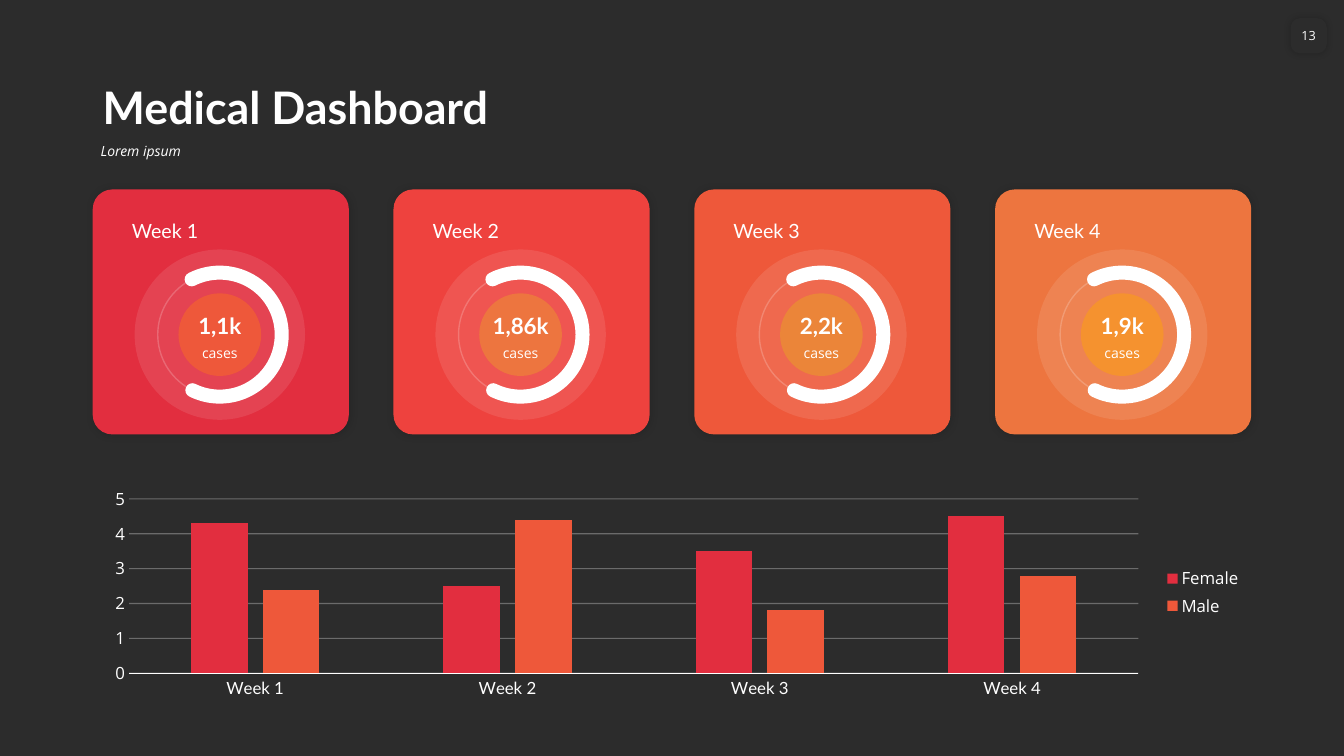
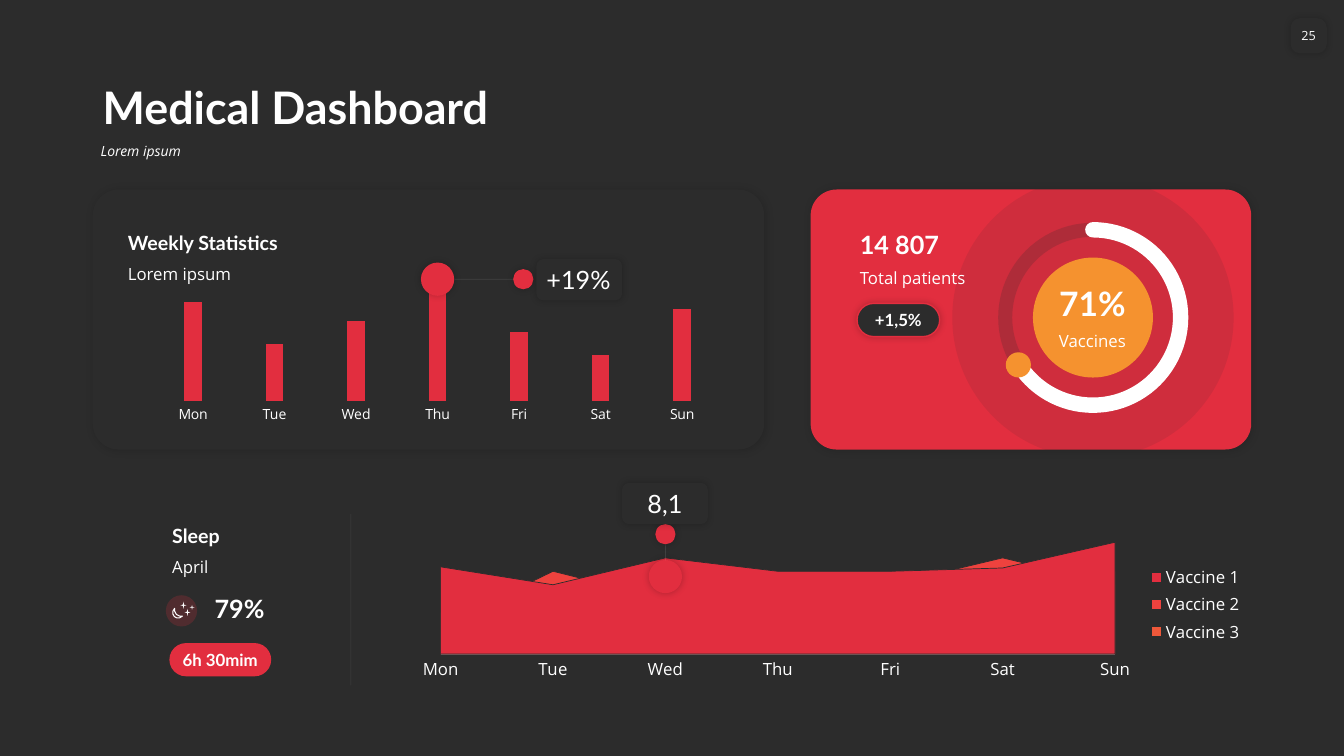
from lxml import etree
from pptx import Presentation
from pptx.chart.data import CategoryChartData
from pptx.dml.color import RGBColor
from pptx.enum.chart import XL_CHART_TYPE, XL_LEGEND_POSITION, XL_TICK_MARK
from pptx.enum.shapes import MSO_CONNECTOR, MSO_SHAPE
from pptx.enum.text import MSO_ANCHOR, PP_ALIGN
from pptx.oxml.ns import qn
from pptx.util import Inches, Pt

DARK = RGBColor(0x2C, 0x2C, 0x2C)
WHITE = RGBColor(0xFF, 0xFF, 0xFF)
CRIMSON = RGBColor(0xE2, 0x2E, 0x3F)
RED = RGBColor(0xEE, 0x42, 0x3E)
VERMILION = RGBColor(0xEE, 0x58, 0x3A)
ORANGE = RGBColor(0xED, 0x75, 0x3F)
OCHRE = RGBColor(0xEB, 0x85, 0x39)
AMBER = RGBColor(0xF5, 0x92, 0x2F)

HEAD, BODY = "Lato", "Open Sans"
OVAL, ROUNDED, ARC = MSO_SHAPE.OVAL, MSO_SHAPE.ROUNDED_RECTANGLE, MSO_SHAPE.ARC
MOON, STAR = MSO_SHAPE.MOON, MSO_SHAPE.STAR_4_POINT
LEFT, CENTER = PP_ALIGN.LEFT, PP_ALIGN.CENTER
TOP, MIDDLE, BOTTOM = MSO_ANCHOR.TOP, MSO_ANCHOR.MIDDLE, MSO_ANCHOR.BOTTOM
COLUMNS, AREA = XL_CHART_TYPE.COLUMN_CLUSTERED, XL_CHART_TYPE.AREA
LEGEND_RIGHT, NO_TICK = XL_LEGEND_POSITION.RIGHT, XL_TICK_MARK.NONE
STRAIGHT = MSO_CONNECTOR.STRAIGHT

# Shadows: opacity in percent, blur and distance in points
CARD_SHADOW, SOFT_SHADOW = (15, 6, 1), (20, 5, 0)
MARGIN, RIGHT_EDGE, CARD_TOP = 0.92, 12.41, 1.88
WEEKDAYS = ["Mon", "Tue", "Wed", "Thu", "Fri", "Sat", "Sun"]


def set_opacity(parent, percent):
    color = parent.find(".//" + qn("a:srgbClr"))
    etree.SubElement(color, qn("a:alpha"), val=str(percent * 1000))


class Dashboard:
    """Holds the style and the current slide."""

    def __init__(self):
        self.deck = Presentation()
        self.deck.slide_width, self.deck.slide_height = Inches(13.33), Inches(7.5)
        self.slide = None

    def new_slide(self, number):
        self.slide = self.deck.slides.add_slide(self.deck.slide_layouts[6])
        self.slide.background.fill.solid()
        self.slide.background.fill.fore_color.rgb = DARK
        title = self.text((MARGIN, 0.58, 11.5, 0.8), "Medical Dashboard", 32,
                          bold=True, anchor=BOTTOM)
        subtitle = self.text((0.9, 1.38, 11.52, 0.36), "Lorem ipsum", 10, BODY, italic=True)
        for heading in (title, subtitle):
            heading.text_frame.paragraphs[0].line_spacing = 0.9
        badge = self.shape(ROUNDED, (12.8, 0.18, 0.36, 0.35), DARK,
                           shadow=SOFT_SHADOW, adjust=[0.27])
        self.label(badge, str(number), 9, BODY, align=CENTER, anchor=MIDDLE,
                   inset=(0, 0.05), wrap=False)

    def label(self, holder, words, size, font=HEAD, bold=False, italic=False,
              align=LEFT, anchor=TOP, inset=(0.1, 0.05), wrap=True):
        frame = holder.text_frame
        frame.text = words
        frame.word_wrap = wrap
        frame.vertical_anchor = anchor
        frame.margin_left = frame.margin_right = Inches(inset[0])
        frame.margin_top = frame.margin_bottom = Inches(inset[1])
        paragraph = frame.paragraphs[0]
        paragraph.alignment = align
        style = paragraph.runs[0].font
        style.name, style.size, style.bold, style.italic = font, Pt(size), bold, italic
        style.color.rgb = WHITE

    def text(self, box, words, size, font=HEAD, **style):
        holder = self.slide.shapes.add_textbox(*map(Inches, box))
        self.label(holder, words, size, font, **style)
        return holder

    def shape(self, kind, box, fill=None, opacity=None, line=None, width=1,
              line_opacity=None, shadow=None, adjust=()):
        item = self.slide.shapes.add_shape(kind, *map(Inches, box))
        for index, value in enumerate(adjust):
            item.adjustments[index] = value
        properties = item._element.spPr
        if fill is None:
            item.fill.background()
        else:
            item.fill.solid()
            item.fill.fore_color.rgb = fill
            if opacity:
                set_opacity(properties.find(qn("a:solidFill")), opacity)
        if line is None:
            item.line.fill.background()
        else:
            item.line.color.rgb = line
            item.line.width = Pt(width)
            if line_opacity:
                set_opacity(properties.find(qn("a:ln")), line_opacity)
        item.shadow.inherit = False
        if shadow:
            strength, blur, distance = shadow
            outer = etree.SubElement(
                properties.find(qn("a:effectLst")), qn("a:outerShdw"),
                blurRad=str(Pt(blur)), dist=str(Pt(distance)), dir=str(45 * 60000),
                algn="ctr", rotWithShape="0")
            color = etree.SubElement(outer, qn("a:srgbClr"), val="000000")
            etree.SubElement(color, qn("a:alpha"), val=str(strength * 1000))
        return item

    def circle(self, center, diameter, fill=None, **style):
        x, y = center
        box = (x - diameter / 2, y - diameter / 2, diameter, diameter)
        return self.shape(OVAL, box, fill, **style)

    def arc(self, center, diameter, start, end, width):
        """Round-ended arc, clockwise between two angles in degrees."""
        x, y = center
        box = (x - diameter / 2, y - diameter / 2, diameter, diameter)
        item = self.shape(ARC, box, line=WHITE, width=width, adjust=[start * 0.6, end * 0.6])
        item._element.spPr.find(qn("a:ln")).set("cap", "rnd")

    def card(self, box, fill, corner=0.1):
        return self.shape(ROUNDED, box, fill, shadow=CARD_SHADOW, adjust=[corner])

    def pill(self, box, words, fill, **style):
        item = self.shape(ROUNDED, box, fill, adjust=[0.5], **style)
        self.label(item, words, 12, bold=True, align=CENTER, anchor=MIDDLE, inset=(0, 0))

    def rule(self, start, end):
        item = self.slide.shapes.add_connector(STRAIGHT, *map(Inches, start + end))
        item.line.color.rgb = WHITE
        item.line.width = Pt(0.5)
        properties = item._element.spPr
        set_opacity(properties.find(qn("a:ln")), 10)
        etree.SubElement(properties, qn("a:effectLst"))

    def callout(self, point, dot, line, label_at, words, align):
        self.circle(point, 0.33, CRIMSON, shadow=SOFT_SHADOW)
        self.rule(*line)
        self.circle(dot, 0.2, CRIMSON, shadow=SOFT_SHADOW)
        tag = self.shape(ROUNDED, label_at + (0.85, 0.41), DARK, shadow=SOFT_SHADOW)
        self.label(tag, words, 18, align=align, anchor=MIDDLE, inset=(0.08, 0.05))

    def chart(self, kind, box, plot_box, categories, series, top, axis_size=12,
              axis_font=BODY, axis_line=True, legend=True, series_line=None):
        """series: (name, values, colour); plot_box: the inner plot on the slide."""
        data = CategoryChartData()
        data.categories = categories
        for name, values, _ in series:
            data.add_series(name, values)
        chart = self.slide.shapes.add_chart(kind, *map(Inches, box), data).chart
        chart.has_title = False
        chart.font.name, chart.font.size = BODY, Pt(12)
        chart.font.color.rgb = WHITE
        chart.has_legend = legend
        if legend:
            chart.legend.position = LEGEND_RIGHT
            chart.legend.include_in_layout = False
        # Axes
        across, up = chart.category_axis, chart.value_axis
        across.major_tick_mark = up.major_tick_mark = NO_TICK
        across.has_major_gridlines = up.has_major_gridlines = False
        axis_style = across.tick_labels.font
        axis_style.name, axis_style.size = axis_font, Pt(axis_size)
        axis_style.color.rgb = WHITE
        if axis_line:
            across.format.line.color.rgb = WHITE
            across.format.line.width = Pt(0.75)
        else:
            across.format.line.fill.background()
        up.minimum_scale, up.maximum_scale = 0, top
        up.visible = False
        # Series
        for part, (_, _, color) in zip(chart.plots[0].series, series):
            part.format.fill.solid()
            part.format.fill.fore_color.rgb = color
            if series_line is not None:
                part.format.line.color.rgb = series_line
                part.format.line.width = Pt(0.5)
        # Inner plot placement, as fractions of the chart
        plot_area = chart._chartSpace.find(".//" + qn("c:plotArea"))
        layout = plot_area.find(qn("c:layout"))
        if layout is None:
            layout = etree.Element(qn("c:layout"))
            plot_area.insert(0, layout)
        manual = etree.SubElement(layout, qn("c:manualLayout"))
        left, upper, width, height = box
        x, y, w, h = plot_box
        settings = [("layoutTarget", "inner"), ("xMode", "edge"), ("yMode", "edge"),
                    ("x", (x - left) / width), ("y", (y - upper) / height),
                    ("w", w / width), ("h", h / height)]
        for tag, value in settings:
            etree.SubElement(manual, qn("c:" + tag), val=str(value))
        return chart

    def columns(self, gap, overlap, *args, **style):
        chart = self.chart(COLUMNS, *args, **style)
        plot = chart.plots[0]
        plot.gap_width, plot.overlap, plot.vary_by_categories = gap, overlap, False
        return chart

    def week_card(self, left, week, cases, fill, core):
        self.card((left, CARD_TOP, 2.54, 2.43), fill, 0.08)
        center = (left + 1.26, 3.32)
        self.circle(center, 1.69, WHITE, opacity=10)
        self.circle(center, 1.23, line=WHITE, line_opacity=20)
        self.arc(center, 1.23, 243.08, 116.19, 10)
        self.circle(center, 0.82, core)
        self.text((left + 0.85, 3.04, 0.82, 0.37), cases, 16, bold=True,
                  align=CENTER, anchor=BOTTOM)
        self.text((left + 0.85, 3.37, 0.82, 0.27), "cases", 10, BODY, align=CENTER)
        self.text((left + 0.29, 2.12, 1.94, 0.34), week, 14)


def weekly_cases(board):
    board.new_slide(13)
    # Week cards
    weeks = [("Week 1", "1,1k", CRIMSON, VERMILION), ("Week 2", "1,86k", RED, ORANGE),
             ("Week 3", "2,2k", VERMILION, OCHRE), ("Week 4", "1,9k", ORANGE, AMBER)]
    pitch = (RIGHT_EDGE - MARGIN - 2.54) / (len(weeks) - 1)
    for index, week in enumerate(weeks):
        board.week_card(MARGIN + index * pitch, *week)
    # Cases by sex
    chart = board.columns(
        219, -27, (MARGIN, 4.79, 11.5, 2.17), (1.28, 4.95, 10.01, 1.73),
        [week[0] for week in weeks],
        [("Female", (4.3, 2.5, 3.5, 4.5), CRIMSON), ("Male", (2.4, 4.4, 1.8, 2.8), VERMILION)],
        top=5, axis_font=HEAD)
    scale = chart.value_axis
    scale.visible, scale.major_unit = True, 1
    scale.format.line.fill.background()
    scale.has_major_gridlines = True
    grid = scale.major_gridlines.format.line
    grid.color.rgb, grid.width = WHITE, Pt(0.75)
    set_opacity(scale._element.find(qn("c:majorGridlines")), 30)


def vaccine_overview(board):
    board.new_slide(25)
    # Weekly statistics
    board.card((MARGIN, CARD_TOP, 6.66, 2.58), DARK)
    board.columns(360, -30, (1.39, 2.57, 5.89, 1.67), (1.51, 2.61, 5.66, 1.37), WEEKDAYS,
                  [("Series 1", (86, 50, 70, 100, 60, 40, 80), CRIMSON)],
                  top=120, axis_size=10, axis_line=False, legend=False)
    board.text((1.17, 2.23, 2, 0.34), "Weekly Statistics", 14, bold=True, anchor=BOTTOM)
    board.text((1.17, 2.57, 2, 0.3), "Lorem ipsum", 12, BODY)
    board.callout((4.34, 2.77), (5.19, 2.77), ((4.51, 2.77), (5.12, 2.77)),
                  (5.32, 2.57), "+19%", LEFT)
    # Total patients
    board.card((8.04, CARD_TOP, 4.37, 2.58), CRIMSON)
    center = (10.84, 3.15)
    board.circle(center, 2.79, DARK, opacity=10)
    board.circle(center, 1.19, AMBER)
    board.circle(center, 1.74, line=DARK, width=10, line_opacity=20)
    board.arc(center, 1.74, 270, 140.65, 11)
    board.circle((10.1, 3.62), 0.25, AMBER)
    board.text((10.24, 2.76, 1.19, 0.5), "71%", 24, bold=True, align=CENTER, anchor=BOTTOM)
    board.text((10.24, 3.23, 1.19, 0.3), "Vaccines", 12, BODY, align=CENTER)
    board.text((8.43, 2.22, 1.86, 0.4), "14 807", 18, bold=True, anchor=BOTTOM)
    board.text((8.43, 2.61, 1.86, 0.3), "Total patients", 12, BODY)
    board.pill((8.5, 3.01, 0.82, 0.33), "+1,5%", DARK, line=CRIMSON, shadow=SOFT_SHADOW)
    # Sleep
    board.text((1.61, 5.14, 1.66, 0.34), "Sleep", 14, bold=True, anchor=BOTTOM)
    board.text((1.61, 5.47, 1.66, 0.3), "April", 12, BODY)
    board.circle((1.8, 6.06), 0.31, CRIMSON, opacity=20)
    moon = board.shape(MOON, (1.72, 6.04, 0.06, 0.11), line=WHITE, width=0.75)
    moon.rotation = -45
    for star in ((1.88, 6, 0.05, 0.05), (1.79, 5.97, 0.06, 0.07), (1.83, 6.04, 0.06, 0.07)):
        board.shape(STAR, star, WHITE)
    board.text((2.03, 5.84, 1.24, 0.4), "79%", 18, bold=True, anchor=BOTTOM)
    board.pill((1.68, 6.38, 1.01, 0.33), "6h 30mim", CRIMSON)
    board.rule((3.48, 6.8), (3.48, 5.1))
    # Vaccines by day
    board.chart(AREA, (4.02, 5.21, 8.41, 1.58), (4.37, 5.38, 6.69, 1.11), WEEKDAYS,
                [("Vaccine 1", (78, 62, 86, 74, 74, 77, 100), CRIMSON),
                 ("Vaccine 2", (25, 74, 49, 37, 62, 86, 62), RED),
                 ("Vaccine 3", (37, 49, 25, 25, 49, 62, 74), VERMILION)],
                top=100, series_line=DARK)
    board.callout((6.6, 5.72), (6.6, 5.3), ((6.6, 5.41), (6.6, 5.56)),
                  (6.17, 4.79), "8,1", CENTER)


def main():
    board = Dashboard()
    weekly_cases(board)
    vaccine_overview(board)
    board.deck.save("out.pptx")


if __name__ == "__main__":
    main()
